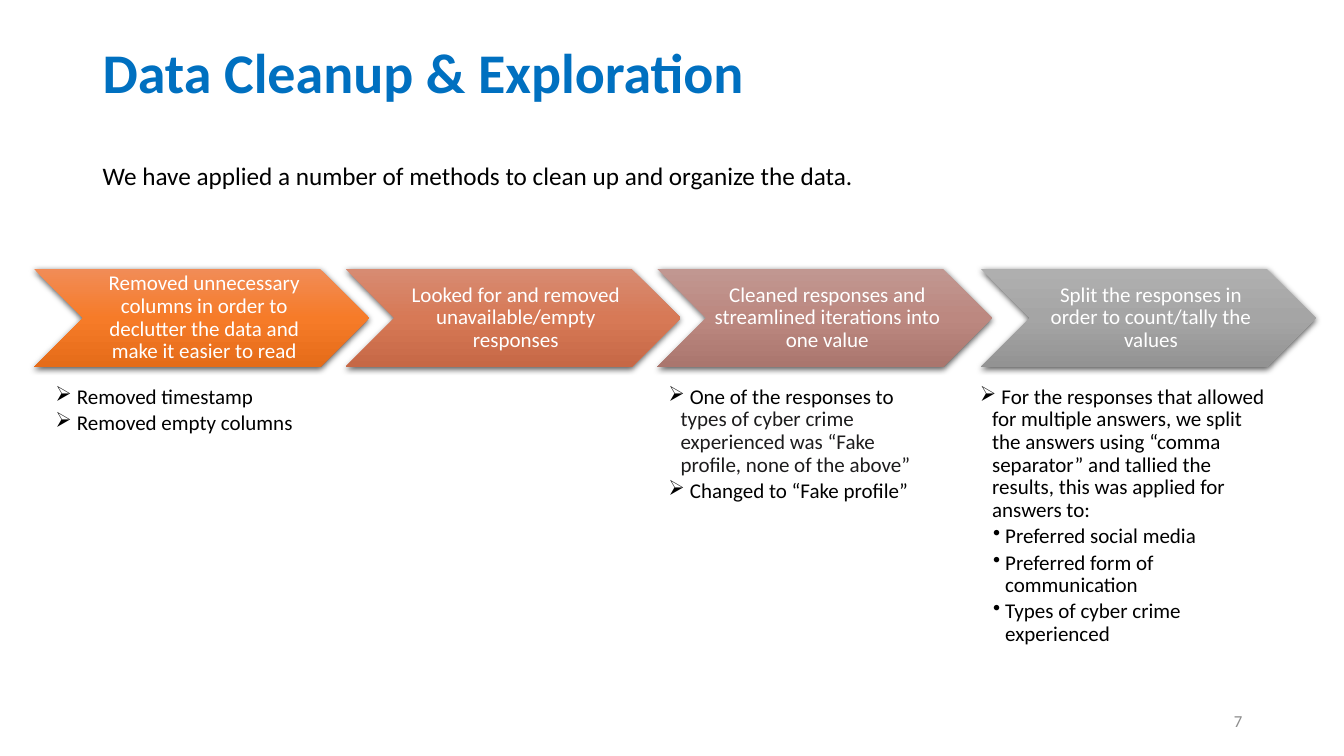
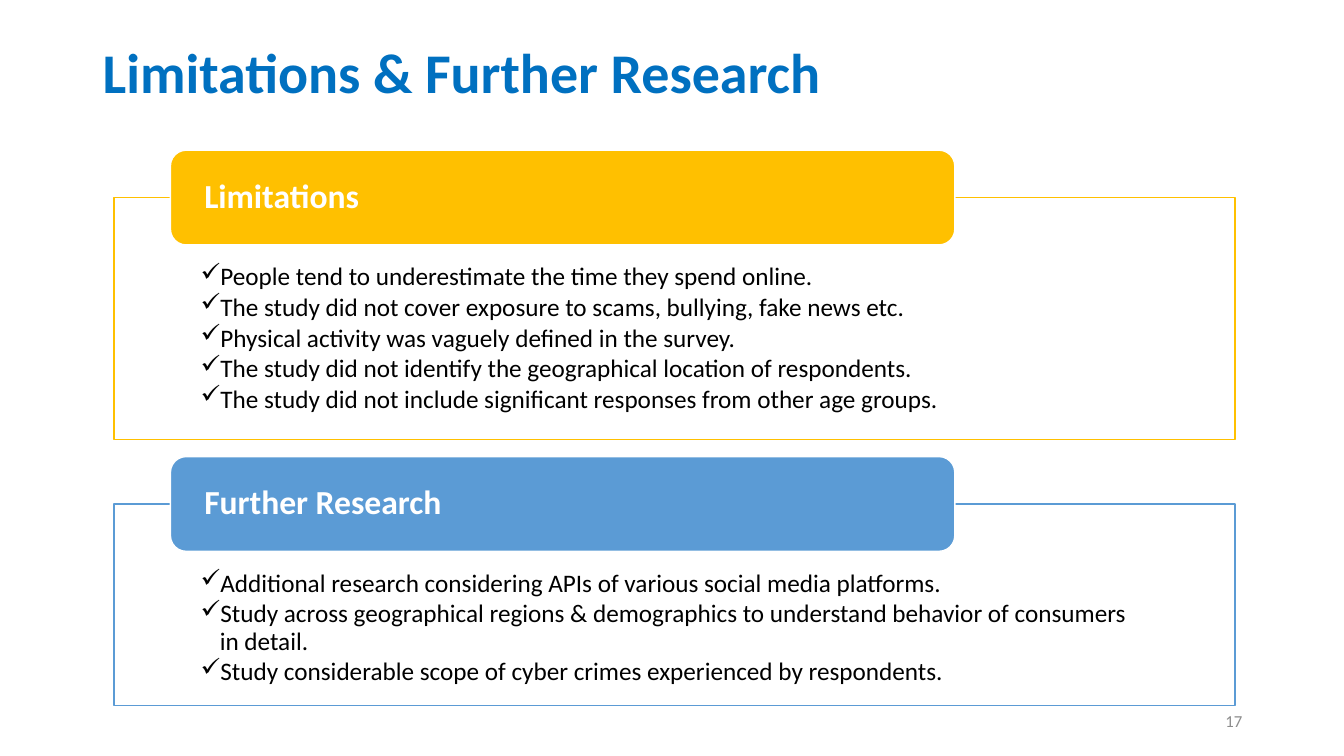
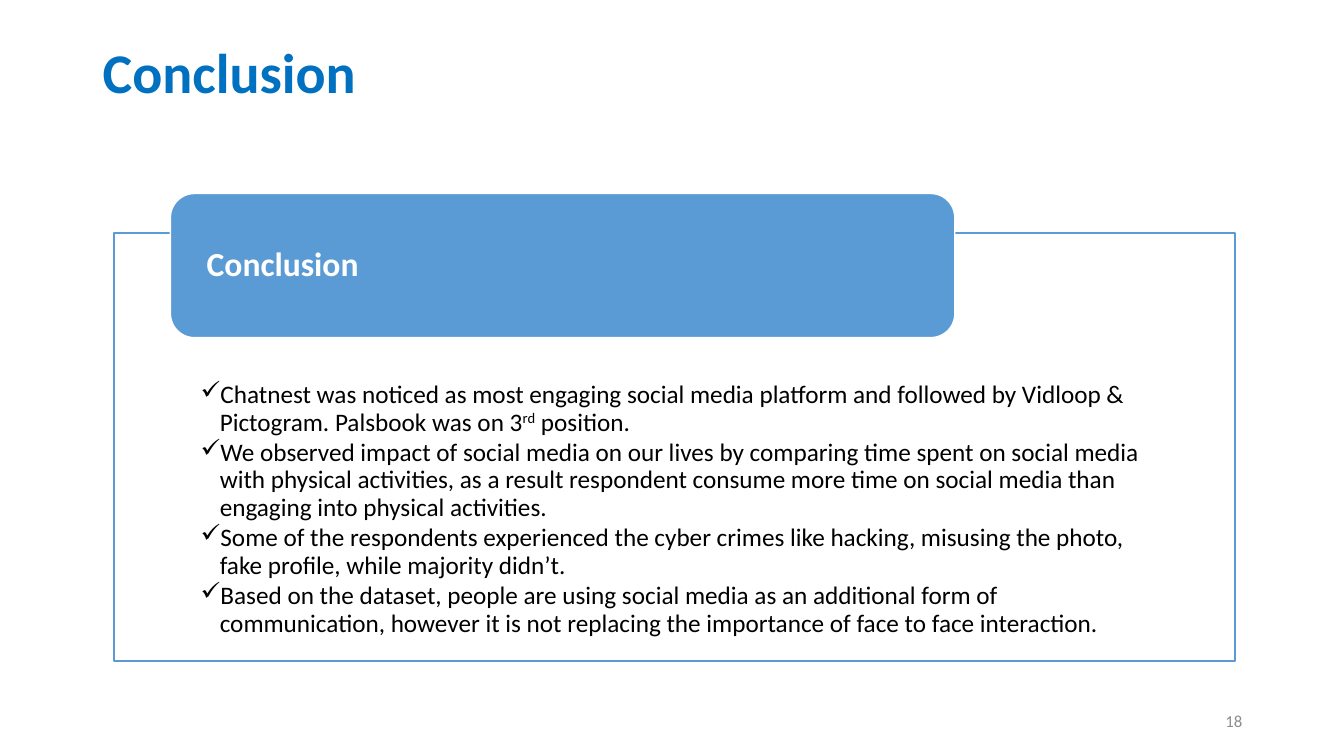
from dataclasses import dataclass
from copy import deepcopy

from lxml import etree
from pptx import Presentation
from pptx.dml.color import RGBColor
from pptx.enum.shapes import MSO_SHAPE
from pptx.enum.text import MSO_ANCHOR, PP_ALIGN
from pptx.oxml.ns import qn
from pptx.util import Inches, Pt

CHEVRON, RECT, ROUNDED = MSO_SHAPE.CHEVRON, MSO_SHAPE.RECTANGLE, MSO_SHAPE.ROUNDED_RECTANGLE
TOP, MIDDLE = MSO_ANCHOR.TOP, MSO_ANCHOR.MIDDLE
LEFT, CENTER, RIGHT = PP_ALIGN.LEFT, PP_ALIGN.CENTER, PP_ALIGN.RIGHT


@dataclass(frozen=True)
class Theme:
    font: str = "Calibri"
    title: str = "0070C0"
    text: str = "000000"
    quote: str = "1D1C1D"
    number: str = "8C8C8C"
    white: str = "FFFFFF"
    amber: str = "FFC000"
    blue: str = "5B9BD5"
    title_pt: int = 40
    heading_pt: int = 24
    body_pt: int = 18
    step_pt: int = 15
    number_pt: int = 12


T = Theme()
rgb = RGBColor.from_string


def write(tf, paragraphs, size=T.body_pt, color=T.text, bold=False, align=LEFT, anchor=TOP,
          insets=(0.1, 0.05, 0.1, 0.05), spacing=0.9, after=0, bullet=None, indent=0.0):
    """Each paragraph is a string, a list of (text, run format), or a dict overriding the bullet."""
    tf.word_wrap = True
    tf.vertical_anchor = anchor
    tf.margin_left, tf.margin_top, tf.margin_right, tf.margin_bottom = map(Inches, insets)
    for i, para in enumerate(paragraphs):
        p = tf.paragraphs[0] if i == 0 else tf.add_paragraph()
        p.alignment, p.line_spacing, p.space_after = align, spacing, Pt(after)
        sub = para if isinstance(para, dict) else {}
        mark = sub.get("bullet", bullet)
        if mark:
            p.level = sub.get("level", 1)
            pPr = p._p.get_or_add_pPr()
            pPr.set("marL", str(Inches(sub.get("left", indent))))
            pPr.set("indent", str(-Inches(indent)))
            etree.SubElement(pPr, qn("a:buChar")).set("char", mark)
        content = sub.get("text", para)
        for text, fmt in [(content, {})] if isinstance(content, str) else content:
            r = p.add_run()
            r.text = text
            r.font.name, r.font.size, r.font.bold = T.font, Pt(size), bold
            r.font.color.rgb = rgb(fmt.get("color", color))
            if "baseline" in fmt:
                r.font._element.set("baseline", str(fmt["baseline"]))


def add_shape(s, kind, box, fill=None, line=None):
    sp = s.shapes.add_shape(kind, *map(Inches, box))
    sp.shadow.inherit = False
    if fill:
        sp.fill.solid()
        sp.fill.fore_color.rgb = rgb(fill)
    if line:
        sp.line.color.rgb = rgb(line)
        sp.line.width = Pt(1)
    else:
        sp.line.fill.background()
    return sp


prs = Presentation()
prs.slide_width, prs.slide_height = Inches(13.33), Inches(7.5)

# Titles and slide numbers
slides = []
for title, number in [("Data Cleanup & Exploration", 7),
                      ("Limitations & Further Research", 17),
                      ("Conclusion", 18)]:
    s = prs.slides.add_slide(prs.slide_layouts[6])
    tb = s.shapes.add_textbox(Inches(0.92), Inches(0.4), Inches(11.5), Inches(1.45))
    write(tb.text_frame, [title], size=T.title_pt, color=T.title, bold=True)
    tb = s.shapes.add_textbox(Inches(9.42), Inches(6.95), Inches(3), Inches(0.4))
    write(tb.text_frame, [str(number)], size=T.number_pt, color=T.number,
          align=RIGHT, anchor=MIDDLE, spacing=1)
    slides.append(s)
cleanup, limits, conclusion = slides

# Cleanup: introduction
intro = add_shape(cleanup, RECT, (0.92, 1.55, 11.5, 0.7), fill=T.white)
write(intro.text_frame, ["We have applied a number of methods to clean up and organize the data."],
      insets=(0.1, 0.07, 0.1, 0.05))

# Cleanup: chevron left, gradient, step; list left, list width, list items
steps = [
    (0.34, ("F18C57", "F67B28", "E56C19"),
     "Removed unnecessary columns in order to declutter the data and make it easier to read",
     0.55, 2.66, [" Removed timestamp", " Removed empty columns"]),
    (3.43, ("D78B72", "D77956", "C66846"),
     "Looked for and removed unavailable/empty responses", 0, 0, []),
    (6.52, ("C19791", "BC8880", "AA766E"),
     "Cleaned responses and streamlined iterations into one value",
     6.63, 2.66,
     [[(" One of the responses to ", {}),
       ("types of cyber crime experienced was “Fake profile, none of the above”",
        {"color": T.quote})],
      " Changed to “Fake profile”"]),
    (9.73, ("AFAFAF", "A5A5A5", "939393"),
     "Split the responses in order to count/tally the values",
     9.72, 2.9,
     [" For the responses that allowed for multiple answers, we split the answers using "
      "“comma separator” and tallied the results, this was applied for answers to:"]
     + [{"text": answer, "bullet": "•", "level": 2, "left": 0.25}
        for answer in ("Preferred social media", "Preferred form of communication",
                       "Types of cyber crime experienced")]),
]
for left, gradient, step, list_left, list_width, items in steps:
    sp = add_shape(cleanup, CHEVRON, (left, 2.67, 3.32, 0.97))
    sp.fill.gradient()
    sp.fill.gradient_angle = 270
    spPr = sp.element.spPr
    stops = spPr.find(".//" + qn("a:gsLst"))
    stops.append(deepcopy(stops[-1]))
    for stop, position, color in zip(sp.fill.gradient_stops, (0, 0.5, 1), gradient):
        stop.position = position
        stop.color.rgb = rgb(color)
    shadow = etree.SubElement(spPr.find(qn("a:effectLst")), qn("a:outerShdw"),
                              blurRad=str(Pt(4.5)), dist=str(Pt(1.5)), dir="5400000",
                              rotWithShape="0")
    black = etree.SubElement(shadow, qn("a:srgbClr"), val="000000")
    etree.SubElement(black, qn("a:alpha"), val="63000")
    write(sp.text_frame, [step], size=T.step_pt, color=T.white, align=CENTER, anchor=MIDDLE,
          insets=(0.07, 0.02, 0.02, 0.02))
    if items:
        tb = cleanup.shapes.add_textbox(Inches(list_left), Inches(3.83),
                                        Inches(list_width), Inches(2.72))
        write(tb.text_frame, items, size=T.step_pt, insets=(0, 0, 0, 0), after=2.5,
              bullet="➢", indent=0.12)

# Panels: slide, heading, colour, panel top and height, heading top and height, text inset, items
panels = [
    (limits, "Limitations", T.amber, 1.96, 2.4, 1.49, 0.94, 0.66,
     ["People tend to underestimate the time they spend online.",
      "The study did not cover exposure to scams, bullying, fake news etc.",
      "Physical activity was vaguely defined in the survey.",
      "The study did not identify the geographical location of respondents.",
      "The study did not include significant responses from other age groups."]),
    (limits, "Further Research", T.blue, 5, 2, 4.53, 0.94, 0.66,
     ["Additional research considering APIs of various social media platforms.",
      "Study across geographical regions & demographics to understand behavior of consumers "
      "in detail.",
      "Study considerable scope of cyber crimes experienced by respondents."]),
    (conclusion, "Conclusion", T.blue, 2.31, 4.25, 1.92, 1.43, 1.48,
     [[("Chatnest was noticed as most engaging social media platform and followed by Vidloop "
        "& Pictogram. Palsbook was on 3", {}),
       ("rd", {"baseline": 30000}), (" position.", {})],
      "We observed impact of social media on our lives by comparing time spent on social media "
      "with physical activities, as a result respondent consume more time on social media than "
      "engaging into physical activities.",
      "Some of the respondents experienced the cyber crimes like hacking, misusing the photo, "
      "fake profile, while majority didn’t.",
      "Based on the dataset, people are using social media as an additional form of "
      "communication, however it is not replacing the importance of face to face interaction."]),
]
for s, heading, color, top, height, head_top, head_height, inset, items in panels:
    panel = add_shape(s, RECT, (1.13, top, 11.12, height), fill=T.white, line=color)
    fill_color = panel.element.spPr.find(qn("a:solidFill"))[0]
    etree.SubElement(fill_color, qn("a:alpha"), val="90000")
    write(panel.text_frame, items, insets=(0.86, inset, 0.86, 0.14), after=2.5,
          bullet="✓", indent=0.19)
    head = add_shape(s, ROUNDED, (1.69, head_top, 7.78, head_height), fill=color, line=T.white)
    write(head.text_frame, [heading], size=T.heading_pt, color=T.white, bold=True,
          anchor=MIDDLE, insets=(0.29, 0, 0.29, 0))

prs.save("out.pptx")
